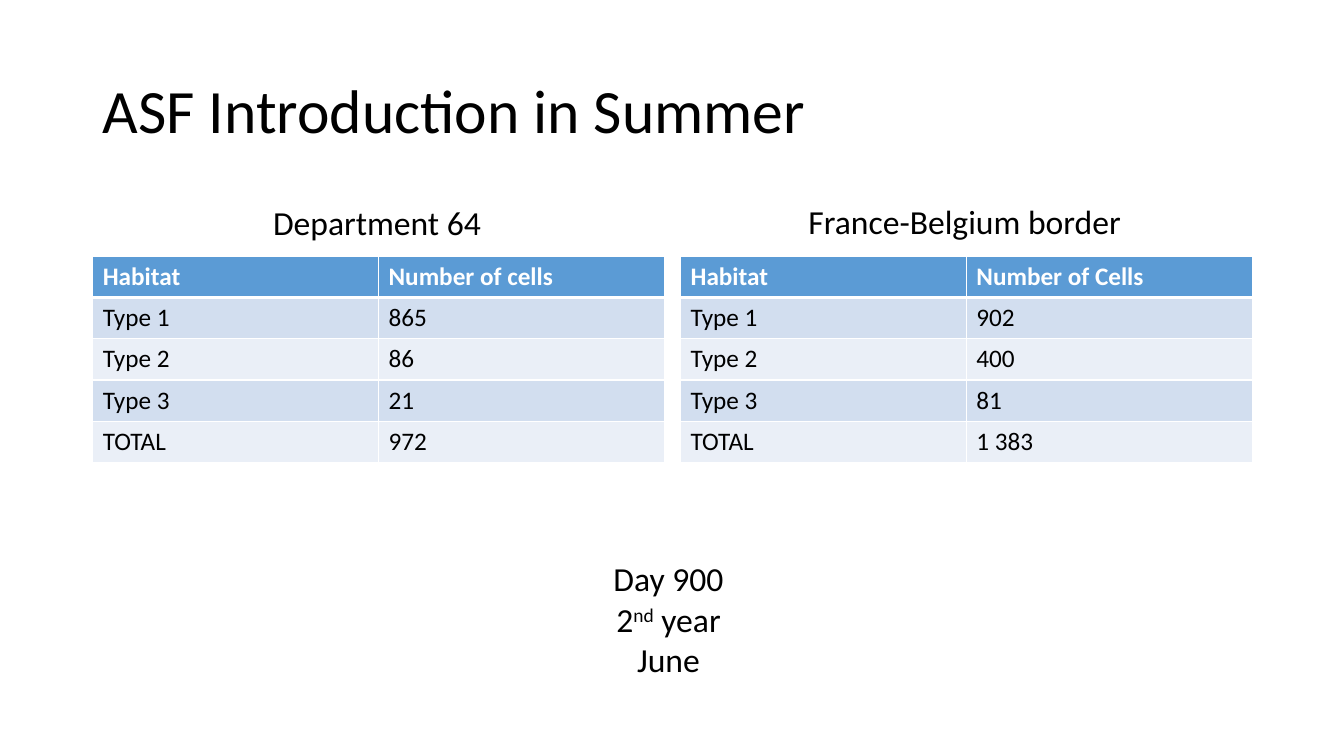
from lxml import etree
from pptx import Presentation
from pptx import util as u
from pptx.dml.color import RGBColor
from pptx.enum import text
from pptx.oxml import ns

TITLE = "ASF Introduction in Summer"
REGIONS = [
    {
        "name": "Department 64",
        "name_box": (2.61, 1.95, 2.28, 0.5),
        "rows": [
            ("Habitat", "Number of cells"),
            ("Type 1", "865"),
            ("Type 2", "86"),
            ("Type 3", "21"),
            ("TOTAL", "972"),
        ],
    },
    {
        "name": "France-Belgium border",
        "name_box": (7.92, 1.94, 3.33, 0.5),
        "rows": [
            ("Habitat", "Number of Cells"),
            ("Type 1", "902"),
            ("Type 2", "400"),
            ("Type 3", "81"),
            ("TOTAL", "1 383"),
        ],
    },
]
TIMING = [["Day 900"], ["2", ("nd", "superscript"), " year"], ["June"]]

THEME = {
    "font": "Calibri",
    "text": "000000",
    "header_text": "FFFFFF",
    "header_fill": "5B9BD5",
    "bands": ("D2DEEF", "EAEFF7"),
    "border": "FFFFFF",
    "title_size": 44,
    "label_size": 24,
    "cell_size": 18,
}
TABLE_LEFT, TABLE_TOP, TABLE_WIDTH = 0.92, 2.54, 5.67
TABLE_STEP, ROW_HEIGHT = 5.83, 0.41


def write_text(frame, paragraphs, size, color=THEME["text"], bold=False,
               align=text.PP_ALIGN.LEFT, spacing=1.0):
    for index, parts in enumerate(paragraphs):
        paragraph = frame.paragraphs[0] if index == 0 else frame.add_paragraph()
        paragraph.alignment = align
        paragraph.line_spacing = spacing
        for part in parts:
            raised = isinstance(part, tuple)
            run = paragraph.add_run()
            run.text = part[0] if raised else part
            run.font.name = THEME["font"]
            run.font.size = u.Pt(size)
            run.font.bold = bold
            run.font.color.rgb = RGBColor.from_string(color)
            if raised:
                run._r.get_or_add_rPr().set("baseline", "30000")


def add_text_box(slide, box, paragraphs, size, wrap=True,
                 anchor=text.MSO_ANCHOR.TOP, **text_format):
    shape = slide.shapes.add_textbox(*map(u.Inches, box))
    frame = shape.text_frame
    frame.word_wrap = wrap
    frame.vertical_anchor = anchor
    write_text(frame, paragraphs, size, **text_format)


def set_borders(cell, top, bottom):
    properties = cell._tc.get_or_add_tcPr()
    for side, width in (("L", 1), ("R", 1), ("T", top), ("B", bottom)):
        line = etree.SubElement(properties, ns.qn(f"a:ln{side}"), w=str(u.Pt(width)))
        fill = etree.SubElement(line, ns.qn("a:solidFill"))
        etree.SubElement(fill, ns.qn("a:srgbClr"), val=THEME["border"])


def add_habitat_table(slide, left, rows):
    column_count = len(rows[0])
    table = slide.shapes.add_table(
        len(rows), column_count, u.Inches(left), u.Inches(TABLE_TOP),
        u.Inches(TABLE_WIDTH), u.Inches(ROW_HEIGHT * len(rows))).table
    for column in table.columns:
        column.width = u.Inches(TABLE_WIDTH / column_count)
    for row_index, values in enumerate(rows):
        header = row_index == 0
        table.rows[row_index].height = u.Inches(ROW_HEIGHT)
        fill_color = THEME["header_fill"] if header else THEME["bands"][(row_index - 1) % 2]
        for column_index, value in enumerate(values):
            cell = table.cell(row_index, column_index)
            set_borders(cell, top=3 if row_index == 1 else 1, bottom=3 if header else 1)
            cell.fill.solid()
            cell.fill.fore_color.rgb = RGBColor.from_string(fill_color)
            write_text(cell.text_frame, [[value]], THEME["cell_size"], bold=header,
                       color=THEME["header_text"] if header else THEME["text"])


def main():
    presentation = Presentation()
    presentation.slide_width = u.Inches(13.33)
    presentation.slide_height = u.Inches(7.5)
    slide = presentation.slides.add_slide(presentation.slide_layouts[6])

    add_text_box(slide, (0.92, 0.4, 11.5, 1.45), [[TITLE]], THEME["title_size"],
                 anchor=text.MSO_ANCHOR.MIDDLE, spacing=0.9)
    for index, region in enumerate(REGIONS):
        add_habitat_table(slide, TABLE_LEFT + index * TABLE_STEP, region["rows"])
        add_text_box(slide, region["name_box"], [[region["name"]]],
                     THEME["label_size"], wrap=False)
    add_text_box(slide, (4.89, 5.49, 3.48, 1.31), TIMING, THEME["label_size"],
                 align=text.PP_ALIGN.CENTER)
    presentation.save("out.pptx")


if __name__ == "__main__":
    main()
